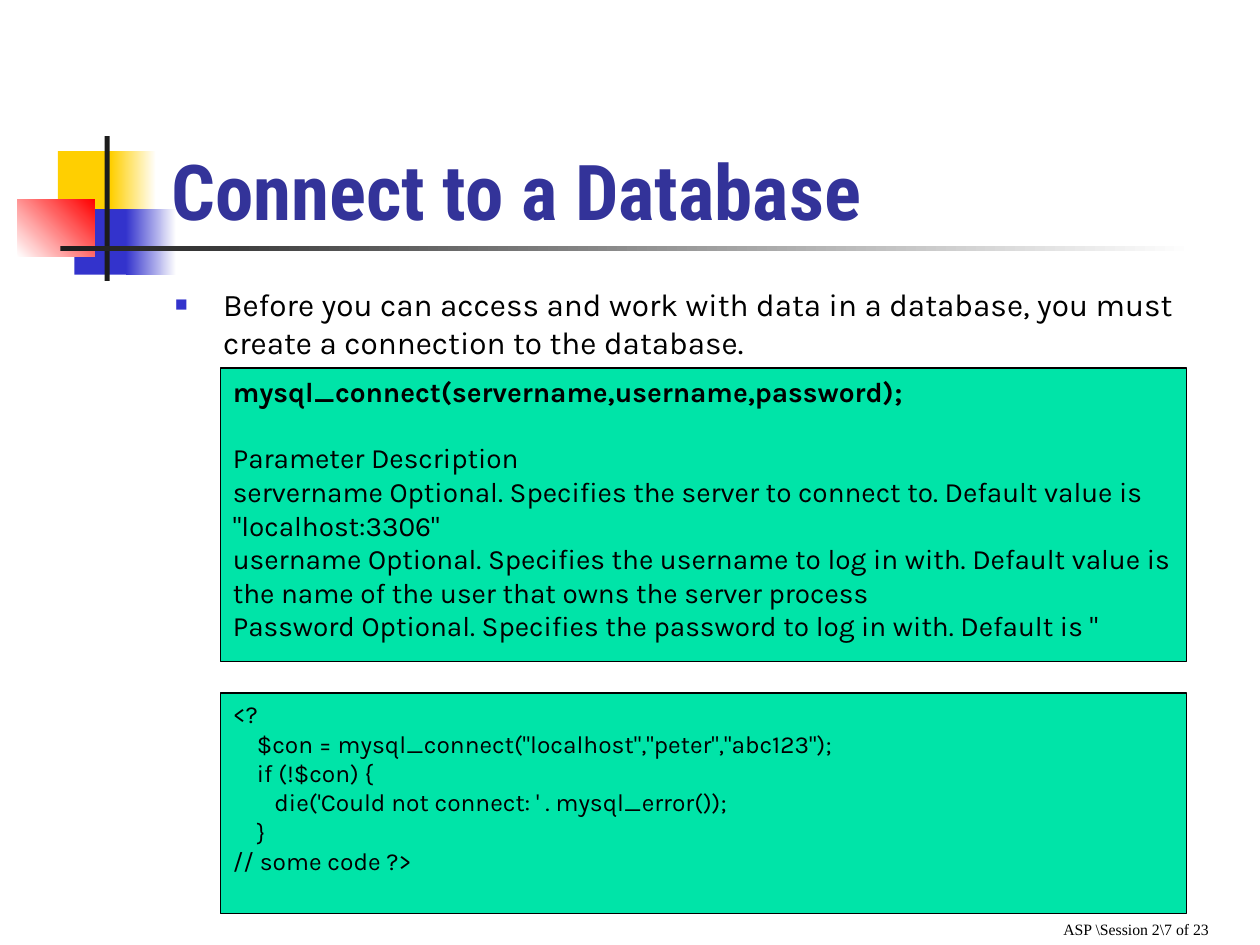
import pptx
import pptx.dml.color
import pptx.enum.shapes
import pptx.enum.text
import pptx.oxml.ns
import pptx.util
from lxml import etree
from pptx.util import Inches

ALIGN = pptx.enum.text.PP_ALIGN
ANCHOR = pptx.enum.text.MSO_ANCHOR
AUTO_SIZE = pptx.enum.text.MSO_AUTO_SIZE
RECTANGLE = pptx.enum.shapes.MSO_SHAPE.RECTANGLE


def color(value):
    return pptx.dml.color.RGBColor.from_string(value)


def write(paragraph, text, font, size, fill="000000", bold=False):
    paragraph.alignment = ALIGN.LEFT
    run = paragraph.add_run()
    run.text = text
    formats = {"name": font, "size": pptx.util.Pt(size), "bold": bold}
    for name, value in formats.items():
        setattr(run.font, name, value)
    run.font.color.rgb = color(fill)


presentation = pptx.Presentation()
presentation.slide_width = Inches(10)
presentation.slide_height = Inches(7.5)
slide = presentation.slides.add_slide(presentation.slide_layouts[1])
shapes = slide.shapes

# Decoration: left, top, width, height, start colour, end colour, angle
decorations = [
    (0.46, 1.2, 0.48, 0.52, "FFCF01", None, 0),
    (0.88, 1.2, 0.36, 0.52, "FFCF01", "FFFFFF", 0),
    (0.59, 1.66, 0.46, 0.52, "3333CC", None, 0),
    (1, 1.66, 0.4, 0.52, "3333CC", "FFFFFF", 0),
    (0.14, 1.58, 0.61, 0.46, "FFFFFF", "FF0000", 45),
    (0.83, 1.08, 0.04, 1.15, "1C1C1C", None, 0),
    (0.48, 1.95, 9, 0.04, "1C1C1C", "FFFFFF", 0),
]
for left, top, width, height, start, end, angle in decorations:
    shape = shapes.add_shape(
        RECTANGLE, Inches(left), Inches(top), Inches(width), Inches(height))
    shape.shadow.inherit = False
    shape.line.fill.background()
    if end is None:
        shape.fill.solid()
        shape.fill.fore_color.rgb = color(start)
    else:
        shape.fill.gradient()
        shape.fill.gradient_angle = angle
        for stop, value in zip(shape.fill.gradient_stops, (start, end)):
            stop.color.rgb = color(value)

# Footer, wide enough for one line
footer = shapes.add_textbox(Inches(8.34), Inches(7.25), Inches(1.65), Inches(0.25))
footer.text_frame.word_wrap = True
paragraph = footer.text_frame.paragraphs[0]
paragraph.space_before = pptx.util.Pt(5.6)
write(paragraph, "ASP \\Session 2\\7 of 23", "Times New Roman", 9)

# Title and body placeholders, moved in front of the decoration
title, body = shapes.title, slide.placeholders[1]
places = [
    (title, 1.26, 0.67, 8.52, 1.25, ANCHOR.BOTTOM),
    (body, 1.29, 2.21, 8.5, 4.5, ANCHOR.TOP),
]
for shape, left, top, width, height, anchor in places:
    formats = {"left": left, "top": top, "width": width, "height": height}
    for name, value in formats.items():
        setattr(shape, name, Inches(value))
    shape.text_frame.auto_size = AUTO_SIZE.NONE
    shape.text_frame.vertical_anchor = anchor
    shape.element.getparent().append(shape.element)

write(title.text_frame.paragraphs[0], "Connect to a Database",
      "Roboto Condensed", 44, "333399", True)

paragraph = body.text_frame.paragraphs[0]
paragraph.space_before = pptx.util.Pt(4.5)
write(paragraph, "Before you can access and work with data in a database, "
      "you must create a connection to the database.", "Karla", 18)

# Square bullet with a hanging indent
properties = paragraph._p.get_or_add_pPr()
properties.set("marL", str(Inches(0.38)))
properties.set("indent", str(Inches(-0.38)))
qn = pptx.oxml.ns.qn
bullet_color = etree.SubElement(properties, qn("a:buClr"))
etree.SubElement(bullet_color, qn("a:srgbClr"), val="3333CC")
etree.SubElement(properties, qn("a:buSzPct"), val="42000")
etree.SubElement(properties, qn("a:buFont"), typeface="Karla")
etree.SubElement(properties, qn("a:buChar"), char="■")

# Code boxes: top, height, size, lines of (text, indent, points before, bold)
syntax_lines = [
    ("mysql_connect(servername,username,password);", 0, 0, True),
    ("Parameter Description", 0, 19, False),
    ("servername Optional. Specifies the server to connect to. "
     "Default value is \"localhost:3306\"", 0, 0, False),
    ("username Optional. Specifies the username to log in with. Default value "
     "is the name of the user that owns the server process", 0, 0, False),
    ("Password Optional. Specifies the password to log in with. "
     "Default is \"", 0, 0, False),
]
example_lines = [
    ("<?", 0, 0, False),
    ("$con = mysql_connect(\"localhost\",\"peter\",\"abc123\");", 0.19, 0, False),
    ("if (!$con) {", 0.19, 0, False),
    ("die('Could not connect: ' . mysql_error());", 0.33, 0, False),
    ("}", 0.19, 0, False),
    ("// some code ?>", 0, 0, False),
]
boxes = [(2.92, 2.33, 16, syntax_lines), (5.5, 1.75, 14, example_lines)]
for top, height, size, lines in boxes:
    box = shapes.add_shape(
        RECTANGLE, Inches(1.75), Inches(top), Inches(7.67), Inches(height))
    box.shadow.inherit = False
    box.fill.solid()
    box.fill.fore_color.rgb = color("00E4A8")
    box.line.color.rgb = color("000000")
    box.line.width = pptx.util.Pt(0.75)
    frame = box.text_frame
    frame.word_wrap = True
    frame.vertical_anchor = ANCHOR.TOP
    for index, (text, indent, before, bold) in enumerate(lines):
        paragraph = frame.add_paragraph() if index else frame.paragraphs[0]
        paragraph.space_before = pptx.util.Pt(before)
        paragraph._p.get_or_add_pPr().set("marL", str(Inches(indent)))
        write(paragraph, text, "Karla", size, bold=bold)

presentation.save("out.pptx")
